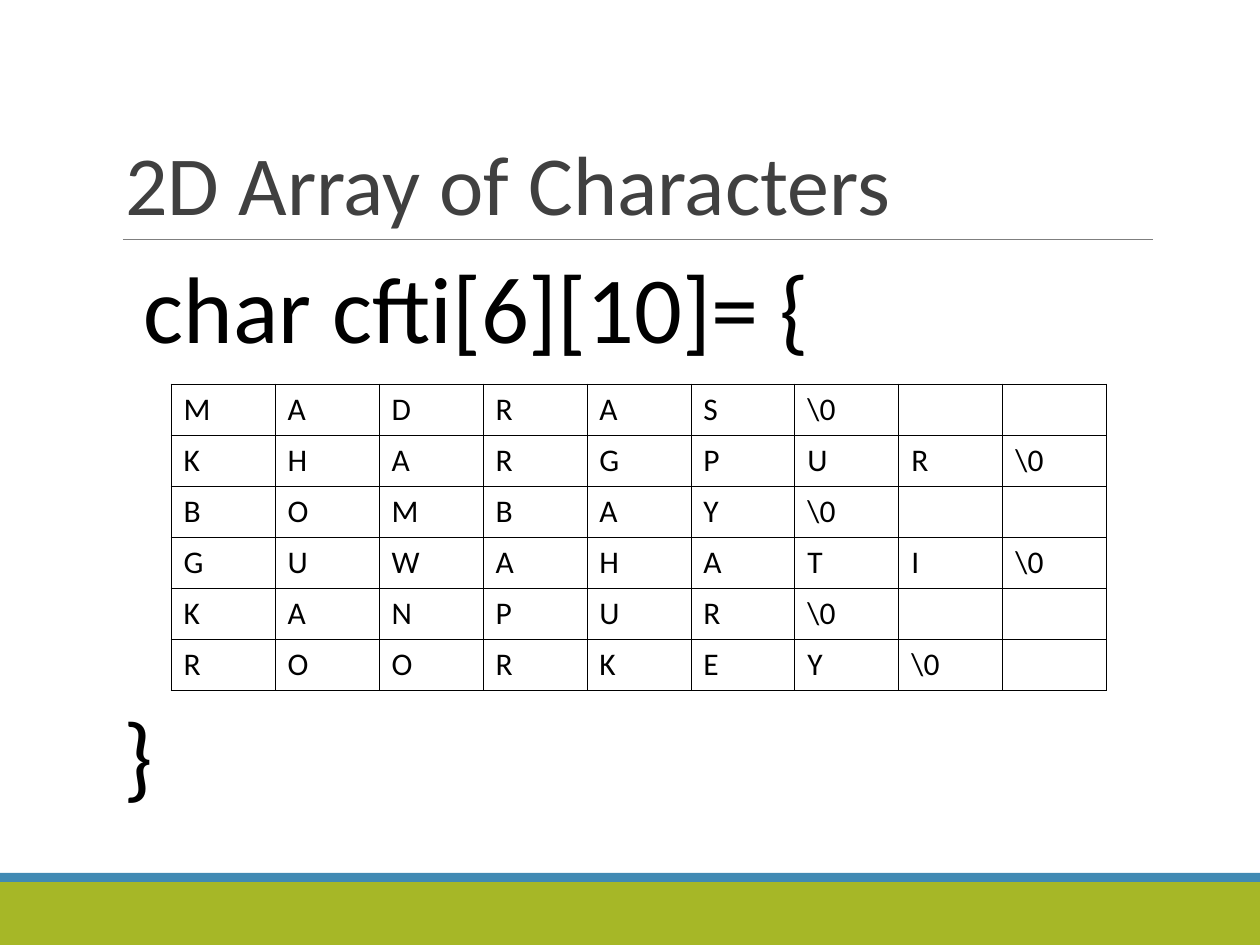
import pptx
import pptx.dml.color
import pptx.enum.shapes
import pptx.enum.text
import pptx.oxml
import pptx.oxml.ns
import pptx.util

PX = pptx.util.Inches(1) // 126
FONT = "Calibri"
COLORS = {
    "title": "404040",
    "text": "000000",
    "grid": "000000",
    "rule": "7F7F7F",
    "band": "A6B727",
    "stripe": "418AB3",
}
CITIES = ["MADRAS", "KHARGPUR", "BOMBAY", "GUWAHATI", "KANPUR", "ROORKEY"]
COLUMNS = 9
TERMINATOR = r"\0"


def color(name):
    return pptx.dml.color.RGBColor.from_string(COLORS[name])


def emu(*lengths):
    return [length * PX for length in lengths]


def write_text(frame, text, size, ink="text", align="LEFT", anchor="TOP",
               spacing=1.0, wrap=True):
    frame.word_wrap = wrap
    frame.vertical_anchor = pptx.enum.text.MSO_ANCHOR[anchor]
    para = frame.paragraphs[0]
    para.alignment = pptx.enum.text.PP_ALIGN[align]
    para.line_spacing = spacing
    span = para.add_run()
    span.text = text
    span.font.name = FONT
    span.font.size = pptx.util.Pt(size)
    span.font.color.rgb = color(ink)


def add_text(page, box, text, **style):
    frame = page.shapes.add_textbox(*emu(*box)).text_frame
    write_text(frame, text, **style)


def add_bar(page, box, fill):
    bar = page.shapes.add_shape(
        pptx.enum.shapes.MSO_SHAPE.RECTANGLE, *emu(*box))
    bar.shadow.inherit = False
    bar.fill.solid()
    bar.fill.fore_color.rgb = color(fill)
    bar.line.fill.background()


def add_footer(page, box):
    left, top, width, height = box
    stripe = 9
    add_bar(page, (left, top + stripe, width, height - stripe), "band")
    add_bar(page, (left, top, width, stripe), "stripe")


def add_header(page, box, text):
    left, top, width, height = box
    bottom = top + height
    rule = page.shapes.add_connector(
        pptx.enum.shapes.MSO_CONNECTOR.STRAIGHT,
        *emu(left + 10, bottom, left + width, bottom))
    rule.line.color.rgb = color("rule")
    rule.line.width = pptx.util.Pt(0.5)
    rule._element.spPr.append(pptx.oxml.parse_xml(
        f'<a:effectLst {pptx.oxml.ns.nsdecls("a")}/>'))
    add_text(page, box, text, size=48, ink="title", anchor="BOTTOM",
             spacing=0.85)


def outline_cell(cell):
    """Draw a thin line on all four sides of the cell."""
    properties = cell._tc.get_or_add_tcPr()
    for index, side in enumerate(("lnL", "lnR", "lnT", "lnB")):
        properties.insert(index, pptx.oxml.parse_xml(
            f'<a:{side} {pptx.oxml.ns.nsdecls("a")} w="5715"><a:solidFill>'
            f'<a:srgbClr val="{COLORS["grid"]}"/></a:solidFill></a:{side}>'))


def add_letter_grid(page, box, words):
    """Spell one word per row, a letter per cell, ending with a terminator."""
    left, top, width, height = box
    table = page.shapes.add_table(len(words), COLUMNS, *emu(*box)).table
    table.first_row = False
    table.horz_banding = False
    for column in table.columns:
        column.width = width * PX // COLUMNS
    for row, word in zip(table.rows, words):
        row.height = height * PX // len(words)
        letters = [*word, TERMINATOR]
        for index, cell in enumerate(row.cells):
            cell.fill.background()
            outline_cell(cell)
            if index < len(letters):
                write_text(cell.text_frame, letters[index], size=18)


def add_array(page, box):
    left, top, width, height = box
    code = {"size": 54, "align": "CENTER", "wrap": False}
    add_text(page, (left, top, 782, 126), "char cfti[6][10]= {", **code)
    add_letter_grid(page, (left + 85, top + 141, 936, 306), CITIES)
    add_text(page, (left + 22, top + height - 126, 60, 126), "}", **code)


def main():
    deck = pptx.Presentation()
    deck.slide_width, deck.slide_height = emu(1260, 945)
    page = deck.slides.add_slide(deck.slide_layouts[6])
    add_footer(page, (0, 873, 1260, 72))
    add_header(page, (113, 39, 1040, 200), "2D Array of Characters")
    add_array(page, (86, 243, 1021, 573))
    deck.save("out.pptx")


if __name__ == "__main__":
    main()
